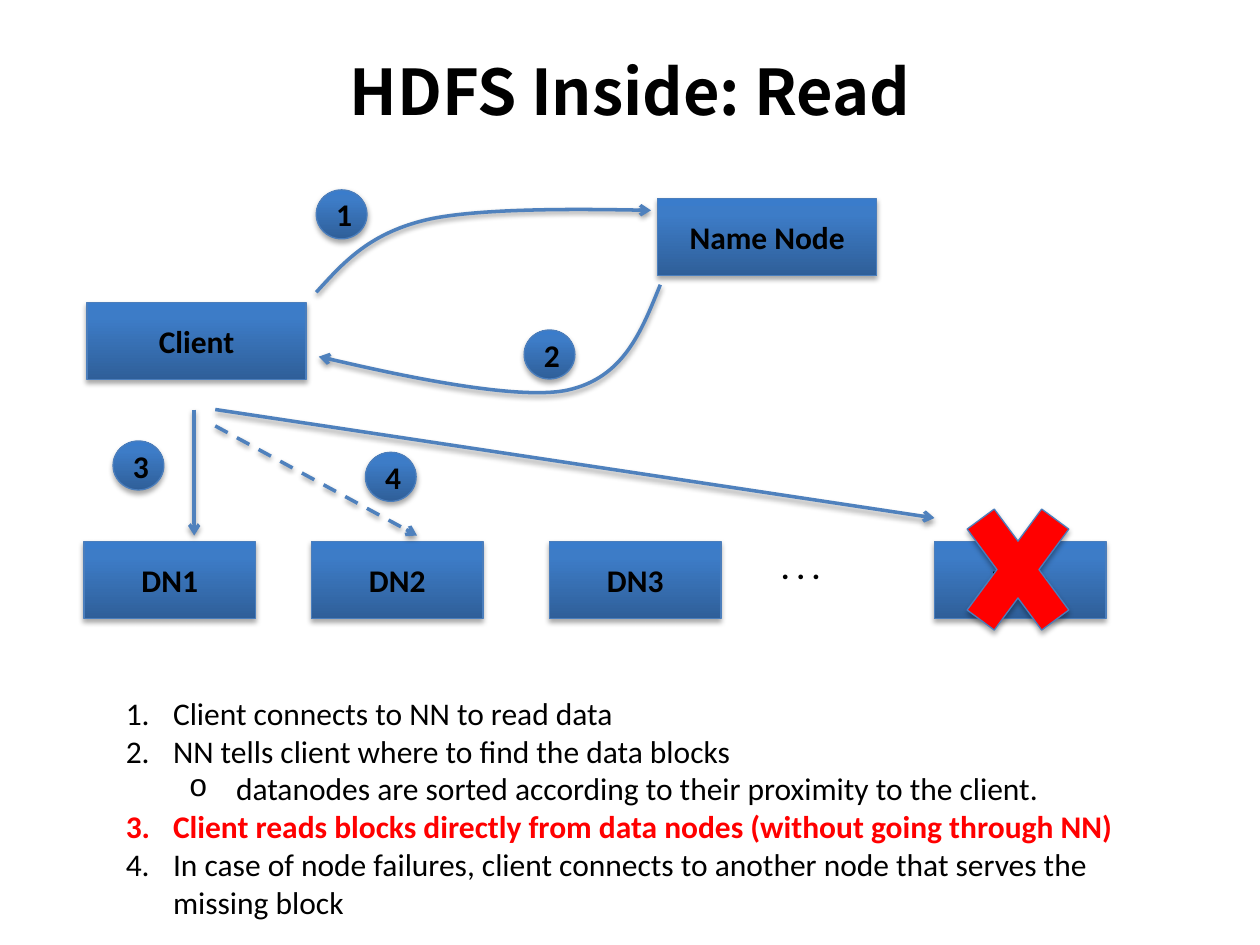
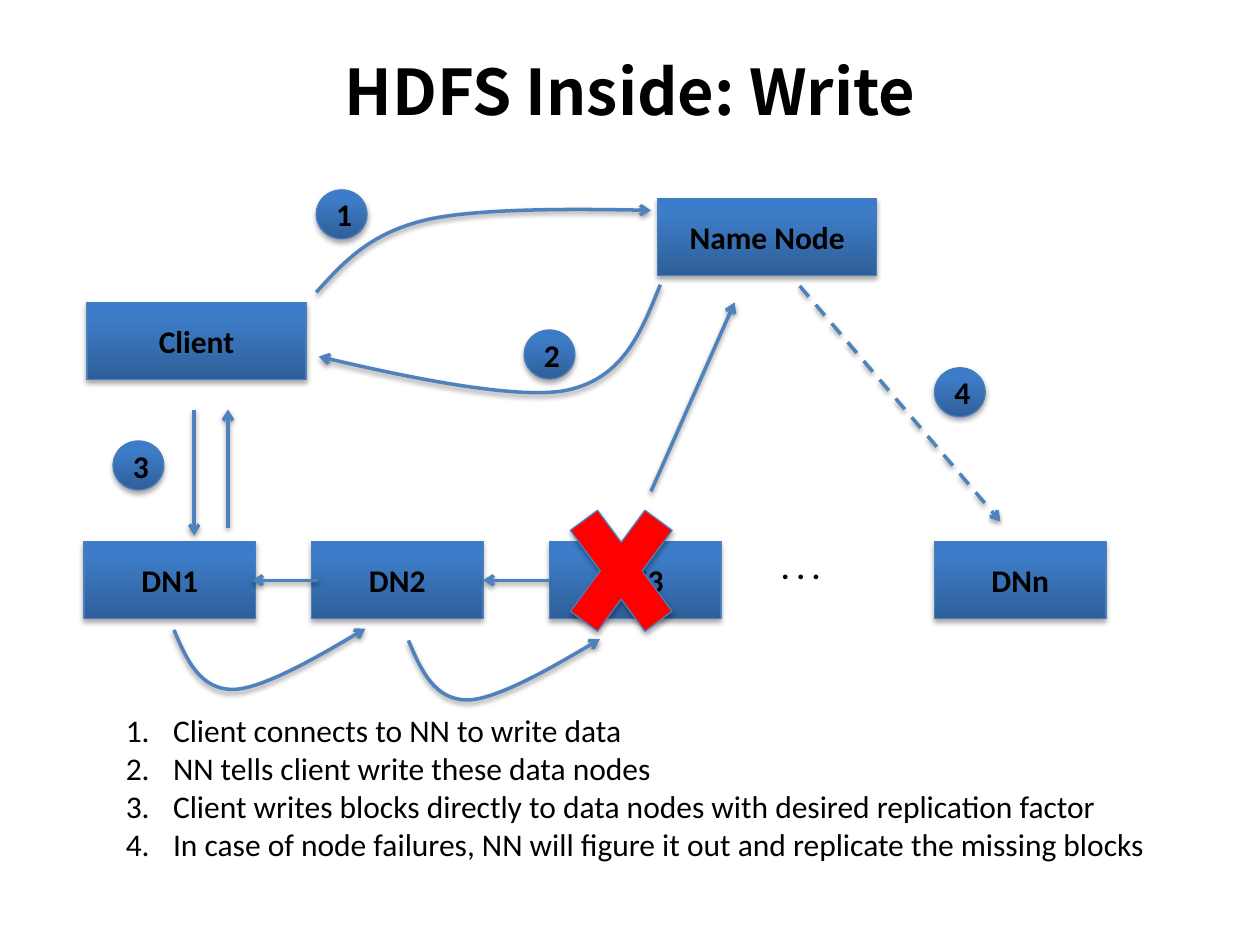
from copy import deepcopy
from dataclasses import dataclass

from lxml.etree import SubElement
from pptx import Presentation
from pptx.dml.color import RGBColor
from pptx.enum.dml import MSO_LINE
from pptx.enum.shapes import MSO_CONNECTOR, MSO_SHAPE
from pptx.enum.text import MSO_ANCHOR, MSO_AUTO_SIZE, PP_ALIGN
from pptx.oxml.ns import qn
from pptx.shapes.autoshape import Shape
from pptx.shapes.connector import Connector
from pptx.slide import Slide
from pptx.text.text import TextFrame
from pptx.util import Pt


@dataclass(frozen=True)
class Theme:
    text: str = "000000"
    alert: str = "FF0000"
    outline: str = "4B7EBC"
    arrow: str = "4F81BD"
    gradient: tuple[tuple[float, str], ...] = ((0, "2F5F99"), (0.8, "3D7CC7"), (1, "3A7CCB"))
    title_font: str = "Noto Sans CJK SC"
    body_font: str = "Calibri"
    bullet_font: str = "Courier New"
    title_size: float = 36
    body_size: float = 18
    outline_width: float = 0.75
    arrow_width: float = 2


@dataclass(frozen=True)
class Box:
    left: float
    top: float
    width: float
    height: float


@dataclass(frozen=True)
class Node:
    label: str
    box: Box


@dataclass(frozen=True)
class Badge:
    label: str
    left: float
    top: float


@dataclass(frozen=True)
class Arrow:
    start: tuple[float, float]
    end: tuple[float, float]
    dashed: bool = False


@dataclass(frozen=True)
class Step:
    text: str
    level: int = 0
    alert: bool = False


Curve = tuple[tuple[float, float], ...]

THEME = Theme()
NODE_HEIGHT = 44
DATA_TOP = 309.6
TITLE_BOX = Box(36, 6.5, 648, 90)
ELLIPSIS_BOX = Box(439.2, DATA_TOP, 87, 29)

NODES = (
    Node("Client", Box(49.7, 172.8, 125.3, NODE_HEIGHT)),
    Node("Name Node", Box(375.8, 113.5, 125.3, NODE_HEIGHT)),
    *(
        Node(label, Box(left, DATA_TOP, 98, NODE_HEIGHT))
        for label, left in (("DN1", 48), ("DN2", 178), ("DN3", 314), ("DNn", 534))
    ),
)
BADGES = (Badge("1", 180.7, 108.5), Badge("2", 299.5, 188.6), Badge("3", 64.6, 252))
REQUEST: Curve = (
    (180.7, 167), (195.8, 150.5), (210.2, 134), (242, 126),
    (273.6, 118), (372, 120.2), (372, 120.2),
)
REPLY: Curve = (
    (377.3, 162.7), (366.5, 189.4), (356.4, 216), (324, 223),
    (291.6, 229.7), (182.2, 203.8), (182.2, 203.8),
)
FIRST_COPY: Curve = (
    (99.4, 360), (106.6, 377.3), (114.5, 394), (133, 394),
    (151, 394), (208.8, 359.3), (208.8, 359.3),
)
SECOND_COPY: Curve = tuple((x + 134, y + 6) for x, y in FIRST_COPY)
CLIENT_TO_DN1 = Arrow((111, 234), (111, 306))

READ_STEPS = (
    Step("Client connects to NN to read data"),
    Step("NN tells client where to find the data blocks"),
    Step("datanodes are sorted according to their proximity to the client.", level=1),
    Step("Client reads blocks directly from data nodes (without going through NN)", alert=True),
    Step("In case of node failures, client connects to another node that serves the missing block"),
)
WRITE_STEPS = (
    Step("Client connects to NN to write data"),
    Step("NN tells client write these data nodes"),
    Step("Client writes blocks directly to data nodes with desired replication factor"),
    Step("In case of node failures, NN will figure it out and replicate the missing blocks"),
)


def rgb(value: str) -> RGBColor:
    return RGBColor.from_string(value)


def lengths(box: Box) -> tuple[Pt, Pt, Pt, Pt]:
    return Pt(box.left), Pt(box.top), Pt(box.width), Pt(box.height)


def style_text(
    frame: TextFrame,
    font_name: str = THEME.body_font,
    size: float = THEME.body_size,
    align: PP_ALIGN = PP_ALIGN.CENTER,
) -> None:
    """Format every run as bold text of the theme."""
    for paragraph in frame.paragraphs:
        paragraph.alignment = align
        for run in paragraph.runs:
            run.font.name = font_name
            run.font.size = Pt(size)
            run.font.bold = True
            run.font.color.rgb = rgb(THEME.text)


def add_shadow(shape: Shape | Connector, distance: float, opacity: int) -> None:
    properties = shape.element.spPr
    effects = properties.find(qn("a:effectLst"))
    if effects is None:
        effects = SubElement(properties, qn("a:effectLst"))
    shadow = SubElement(
        effects, qn("a:outerShdw"), blurRad=str(Pt(3.1)), dist=str(Pt(distance)),
        dir="5400000", rotWithShape="0",
    )
    color = SubElement(shadow, qn("a:srgbClr"), val="000000")
    SubElement(color, qn("a:alpha"), val=str(opacity * 1000))


def add_solid(slide: Slide, kind: MSO_SHAPE, box: Box) -> Shape:
    """Add a preset shape with the shared outline and shadow."""
    shape = slide.shapes.add_shape(kind, *lengths(box))
    shape.line.color.rgb = rgb(THEME.outline)
    shape.line.width = Pt(THEME.outline_width)
    shape.shadow.inherit = False
    add_shadow(shape, 1.8, 35)
    return shape


def add_labelled(slide: Slide, kind: MSO_SHAPE, box: Box, label: str) -> Shape:
    shape = add_solid(slide, kind, box)
    shape.fill.gradient()
    shape.fill.gradient_angle = 90
    stops = shape.element.spPr.find(".//" + qn("a:gsLst"))
    stops.insert(1, deepcopy(stops[0]))
    for stop, (position, color) in zip(shape.fill.gradient_stops, THEME.gradient):
        stop.position = position
        stop.color.rgb = rgb(color)
    shape.text_frame.text = label
    shape.text_frame.vertical_anchor = MSO_ANCHOR.MIDDLE
    style_text(shape.text_frame)
    return shape


def add_badge(slide: Slide, badge: Badge) -> None:
    add_labelled(slide, MSO_SHAPE.OVAL, Box(badge.left, badge.top, 29, 28), badge.label)


def add_failure(slide: Slide, left: float, top: float) -> None:
    cross = add_solid(slide, MSO_SHAPE.MATH_MULTIPLY, Box(left, top, 82, 111))
    cross.fill.solid()
    cross.fill.fore_color.rgb = rgb(THEME.alert)


def style_arrow(arrow: Shape | Connector, dashed: bool = False) -> None:
    arrow.line.color.rgb = rgb(THEME.arrow)
    arrow.line.width = Pt(THEME.arrow_width)
    if dashed:
        arrow.line.dash_style = MSO_LINE.DASH
    SubElement(arrow.element.spPr.find(qn("a:ln")), qn("a:tailEnd"), type="arrow")
    add_shadow(arrow, 1.6, 38)


def add_arrow(slide: Slide, arrow: Arrow) -> None:
    points = (Pt(value) for value in (*arrow.start, *arrow.end))
    style_arrow(slide.shapes.add_connector(MSO_CONNECTOR.STRAIGHT, *points), arrow.dashed)


def join_nodes(slide: Slide, right_node: Shape, left_node: Shape) -> None:
    """Point an arrow from one node to its left neighbour."""
    link = slide.shapes.add_connector(MSO_CONNECTOR.STRAIGHT, 0, 0, 0, 0)
    link.begin_connect(right_node, 1)
    link.end_connect(left_node, 3)
    style_arrow(link)


def add_curve(slide: Slide, curve: Curve) -> None:
    """Draw a start point followed by control point triples as Bézier segments."""
    start, *controls = [(Pt(x), Pt(y)) for x, y in curve]
    builder = slide.shapes.build_freeform(*start)
    builder.add_line_segments(controls, close=False)
    shape = builder.convert_to_shape()
    outline = shape.element.spPr.find(".//" + qn("a:path"))
    segments = outline.findall(qn("a:lnTo"))
    for first in range(0, len(segments), 3):
        bezier = SubElement(outline, qn("a:cubicBezTo"))
        for segment in segments[first:first + 3]:
            bezier.append(segment[0])
            outline.remove(segment)
    shape.fill.background()
    shape.shadow.inherit = False
    style_arrow(shape)


def add_text(slide: Slide, box: Box, text: str = "") -> TextFrame:
    frame = slide.shapes.add_textbox(*lengths(box)).text_frame
    frame.word_wrap = True
    frame.text = text
    return frame


def add_steps(slide: Slide, box: Box, steps: tuple[Step, ...]) -> None:
    frame = add_text(slide, box)
    frame.auto_size = MSO_AUTO_SIZE.SHAPE_TO_FIT_TEXT
    for index, step in enumerate(steps):
        paragraph = frame.add_paragraph() if index else frame.paragraphs[0]
        paragraph.text = step.text
        paragraph.level = step.level
        properties = paragraph._p.get_or_add_pPr()
        properties.set("marL", str(Pt(27 + 36 * step.level)))
        properties.set("indent", str(Pt(-27)))
        if step.level:
            SubElement(properties, qn("a:buFont"), typeface=THEME.bullet_font)
            SubElement(properties, qn("a:buChar"), char="o")
        else:
            SubElement(properties, qn("a:buFont"), typeface="+mj-lt")
            SubElement(properties, qn("a:buAutoNum"), type="arabicPeriod")
        for run in paragraph.runs:
            run.font.name = THEME.body_font
            run.font.size = Pt(THEME.body_size)
            run.font.bold = step.alert
            run.font.color.rgb = rgb(THEME.alert if step.alert else THEME.text)


def add_cluster_slide(deck: Presentation, title: str) -> tuple[Slide, dict[str, Shape]]:
    """Add a slide with the title, nodes and exchanges that both operations share."""
    slide = deck.slides.add_slide(deck.slide_layouts[6])
    heading = add_text(slide, TITLE_BOX, title)
    heading.vertical_anchor = MSO_ANCHOR.MIDDLE
    style_text(heading, THEME.title_font, THEME.title_size)
    nodes = {
        node.label: add_labelled(slide, MSO_SHAPE.RECTANGLE, node.box, node.label)
        for node in NODES
    }
    ellipsis = add_text(slide, ELLIPSIS_BOX, ". . .")
    ellipsis.auto_size = MSO_AUTO_SIZE.SHAPE_TO_FIT_TEXT
    style_text(ellipsis, align=PP_ALIGN.LEFT)
    for curve in (REQUEST, REPLY):
        add_curve(slide, curve)
    for badge in BADGES:
        add_badge(slide, badge)
    add_arrow(slide, CLIENT_TO_DN1)
    return slide, nodes


def add_read_slide(deck: Presentation) -> None:
    slide, _ = add_cluster_slide(deck, "HDFS Inside: Read")
    add_arrow(slide, Arrow((123, 234), (534, 296)))
    add_failure(slide, 540.7, 270)
    add_arrow(slide, Arrow((123, 243.4), (238.3, 306), dashed=True))
    add_badge(slide, Badge("4", 208.8, 258.5))
    add_steps(slide, Box(64.8, 393, 592, 138), READ_STEPS)


def add_write_slide(deck: Presentation) -> None:
    slide, nodes = add_cluster_slide(deck, "HDFS Inside: Write")
    add_failure(slide, 314, 270.7)
    add_arrow(slide, Arrow((457, 163.4), (571.7, 298), dashed=True))
    add_badge(slide, Badge("4", 534, 210.2))
    add_steps(slide, Box(64.8, 403, 626.4, 94.3), WRITE_STEPS)
    add_arrow(slide, Arrow((130.3, 301.7), (130.3, 234)))
    for curve in (FIRST_COPY, SECOND_COPY):
        add_curve(slide, curve)
    join_nodes(slide, nodes["DN3"], nodes["DN2"])
    add_arrow(slide, Arrow((182, 331.6), (144, 331.6)))
    add_arrow(slide, Arrow((372, 280.8), (419.8, 172.8)))


def main() -> None:
    deck = Presentation()
    deck.slide_width, deck.slide_height = Pt(720), Pt(540)
    add_read_slide(deck)
    add_write_slide(deck)
    deck.save("out.pptx")


if __name__ == "__main__":
    main()
